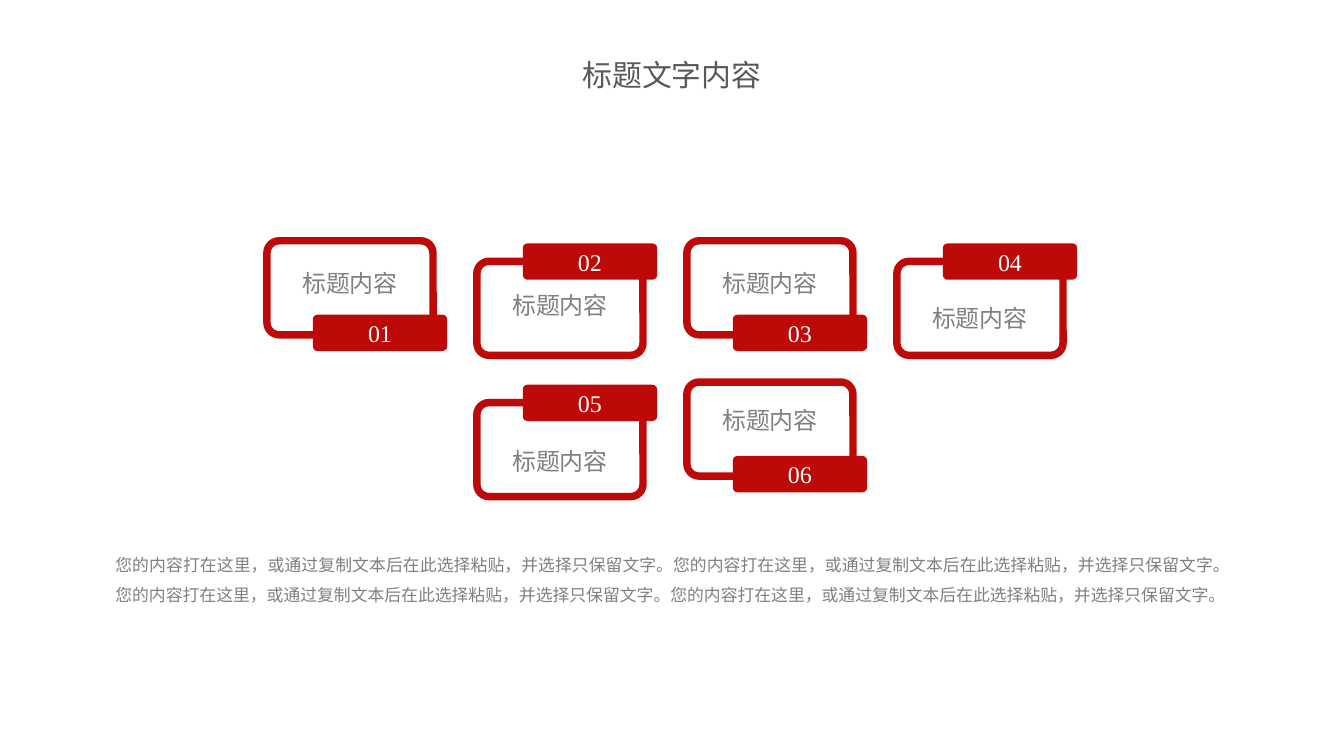
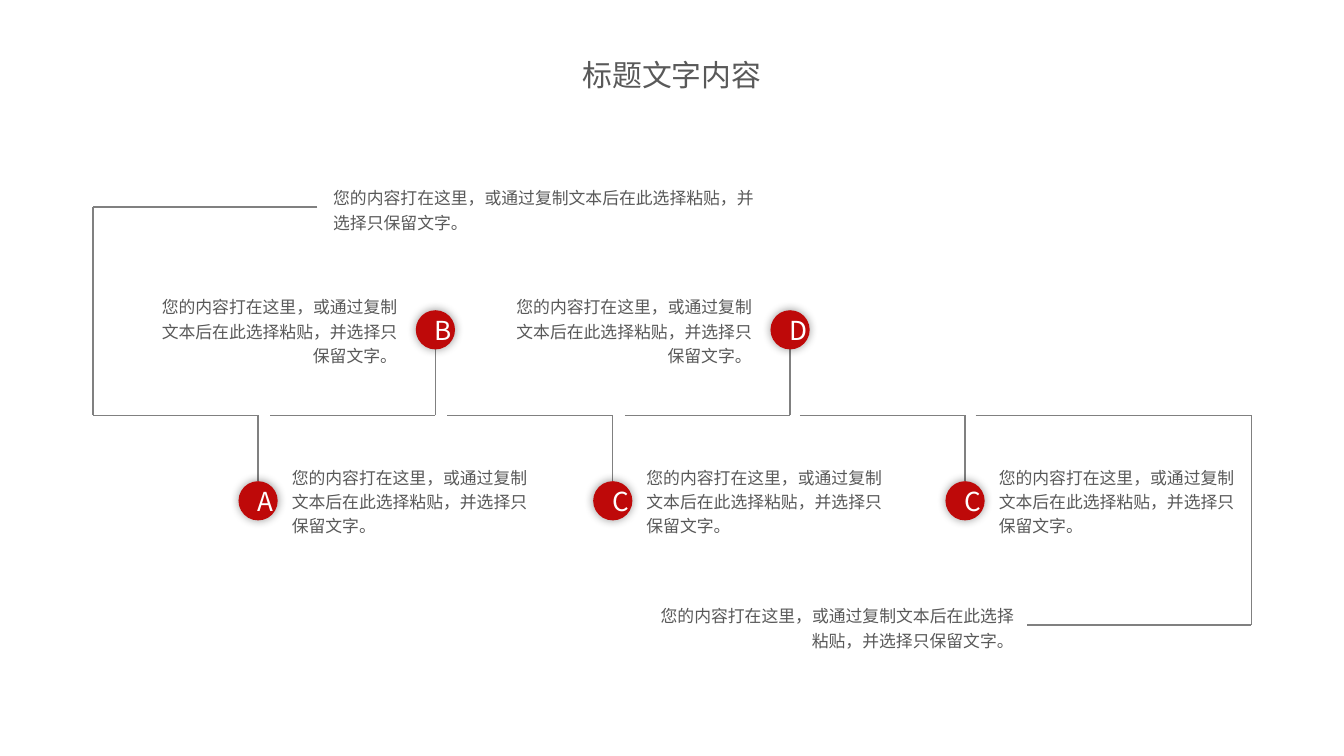
from itertools import pairwise
from typing import NamedTuple

from lxml.etree import SubElement
from pptx import Presentation
from pptx.dml.color import RGBColor
from pptx.enum.shapes import MSO_CONNECTOR, MSO_SHAPE as Shape
from pptx.enum.text import MSO_ANCHOR as Anchor, MSO_AUTO_SIZE as AutoSize, PP_ALIGN as Align
from pptx.oxml.ns import qn
from pptx.util import Pt

RED, DARK, GRAY, WHITE = "BE0909", "595959", "808080", "FFFFFF"
SANS, SERIF = "Noto Sans CJK SC", "Times New Roman"
TITLE = "标题文字内容"
LABEL = "标题内容"
SENTENCE = "您的内容打在这里，或通过复制文本后在此选择粘贴，并选择只保留文字。"


class Box(NamedTuple):
    left: float
    top: float
    width: float
    height: float

    def points(self):
        return [Pt(length) for length in self]


class TextStyle(NamedTuple):
    size: float
    color: str
    font: str = SANS
    align: Align = Align.LEFT
    line_spacing: float | None = None


class Card(NamedTuple):
    number: str
    column: int
    row: int
    tab_above: bool
    label_offset: float


class Node(NamedTuple):
    letter: str
    x: float
    above: bool


TITLE_STYLE = TextStyle(16, DARK, align=Align.CENTER)
SUMMARY_STYLE = TextStyle(9, GRAY, SERIF, Align.JUSTIFY, 1.5)
NUMBER_STYLE = TextStyle(12.8, WHITE, SERIF, Align.CENTER)
LABEL_STYLE = TextStyle(12.8, GRAY, SERIF, Align.CENTER)
LETTER_STYLE = TextStyle(14, WHITE, align=Align.CENTER)
NOTE_LEFT = TextStyle(9, DARK, line_spacing=1.2)
NOTE_RIGHT = NOTE_LEFT._replace(align=Align.RIGHT)

CARDS = [
    Card("01", 0, 0, False, 11.5),
    Card("03", 2, 0, False, 11.5),
    Card("06", 2, 1, False, 9.3),
    Card("02", 1, 0, True, 12),
    Card("04", 3, 0, True, 19),
    Card("05", 1, 1, True, 20),
]

NODES = [
    Node("A", 138.25, False),
    Node("B", 233.25, True),
    Node("C", 328.25, False),
    Node("D", 423.25, True),
    Node("C", 517, False),
]
SPINE_Y = 222.5
SEGMENT = 88.5
STEM = 35.3
CIRCLE = 21
NOTE_WIDTH = 141


def rgb(color: str) -> RGBColor:
    return RGBColor.from_string(color)


def write(shape, text: str, style: TextStyle) -> None:
    frame = shape.text_frame
    frame.text = text
    paragraph = frame.paragraphs[0]
    paragraph.alignment = style.align
    if style.line_spacing:
        paragraph.line_spacing = style.line_spacing
    font = paragraph.runs[0].font
    font.size = Pt(style.size)
    font.name = style.font
    font.color.rgb = rgb(style.color)
    SubElement(font._element, qn("a:ea"), typeface=SANS)


def place_text(shapes, box: Box, text: str, style: TextStyle) -> None:
    shape = shapes.add_textbox(*box.points())
    shape.text_frame.word_wrap = True
    shape.text_frame.auto_size = AutoSize.SHAPE_TO_FIT_TEXT
    write(shape, text, style)


def add_titled_slide(presentation):
    slide = presentation.slides.add_slide(presentation.slide_layouts[5])
    title = slide.shapes.title
    title.left, title.top, title.width, title.height = Box(257.8, 26.6, 204.4, 26.6).points()
    title.text_frame.vertical_anchor = Anchor.TOP
    title.text_frame.auto_size = AutoSize.SHAPE_TO_FIT_TEXT
    write(title, TITLE, TITLE_STYLE)
    return slide


def add_plain_shape(shapes, kind: Shape, box: Box):
    """Add a shape without shadow, fill or line."""
    shape = shapes.add_shape(kind, *box.points())
    shape.shadow.inherit = False
    shape.fill.background()
    shape.line.fill.background()
    return shape


def fill_red(shape) -> None:
    shape.fill.solid()
    shape.fill.fore_color.rgb = rgb(RED)


def add_rounded(shapes, box: Box):
    shape = add_plain_shape(shapes, Shape.ROUNDED_RECTANGLE, box)
    shape.adjustments[0] = 0.13
    return shape


def draw_card(slide, card: Card) -> None:
    left = 143 + 112.5 * card.column
    top = 129 + 75.7 * card.row + (11 if card.tab_above else 0)
    shapes = slide.shapes.add_group_shape().shapes

    frame = add_rounded(shapes, Box(left, top, 89, 50.4))
    frame.line.color.rgb = rgb(RED)
    frame.line.width = Pt(4)

    tab_top = top - 9.6 if card.tab_above else top + 39.6
    tab = add_rounded(shapes, Box(left + 24.6, tab_top, 72, 19.5))
    fill_red(tab)
    text_frame = tab.text_frame
    text_frame.margin_top = text_frame.margin_bottom = 0
    text_frame.vertical_anchor = Anchor.MIDDLE
    write(tab, card.number, NUMBER_STYLE)

    place_text(shapes, Box(left - 0.5, top + card.label_offset, 90, 23), LABEL, LABEL_STYLE)


def draw_path(slide, *corners: tuple[float, float]) -> None:
    """Join the corners in turn with thin gray lines."""
    for start, end in pairwise(corners):
        line = slide.shapes.add_connector(
            MSO_CONNECTOR.STRAIGHT, *[Pt(length) for length in start + end]
        )
        line.line.color.rgb = rgb(GRAY)
        line.line.width = Pt(0.75)
        SubElement(line._element.spPr, qn("a:effectLst"))


def add_soft_shadow(shape) -> None:
    effects = shape._element.spPr.find(qn("a:effectLst"))
    shadow = SubElement(
        effects, qn("a:outerShdw"), blurRad=str(Pt(5)), dist="0", dir="0", algn="ctr"
    )
    color = SubElement(shadow, qn("a:srgbClr"), val="000000")
    SubElement(color, qn("a:alpha"), val="40000")


def draw_node(slide, node: Node) -> None:
    stem_end = SPINE_Y - STEM if node.above else SPINE_Y + STEM
    draw_path(slide, (node.x - SEGMENT, SPINE_Y), (node.x, SPINE_Y), (node.x, stem_end))

    circle_top = stem_end - CIRCLE if node.above else stem_end
    box = Box(node.x - CIRCLE / 2, circle_top, CIRCLE, CIRCLE)
    circle = add_plain_shape(slide.shapes, Shape.OVAL, box)
    fill_red(circle)
    add_soft_shadow(circle)
    circle.text_frame.vertical_anchor = Anchor.MIDDLE
    write(circle, node.letter, LETTER_STYLE)

    if node.above:
        note = Box(node.x - 13.5 - NOTE_WIDTH, SPINE_Y - 69, NOTE_WIDTH, 46.5)
        place_text(slide.shapes, note, SENTENCE, NOTE_RIGHT)
    else:
        note = Box(node.x + 11, SPINE_Y + 22.3, NOTE_WIDTH, 46.5)
        place_text(slide.shapes, note, SENTENCE, NOTE_LEFT)


def build_cards_slide(presentation) -> None:
    slide = add_titled_slide(presentation)
    place_text(slide.shapes, Box(54.7, 288, 610.6, 40.3), SENTENCE * 4, SUMMARY_STYLE)
    for card in CARDS:
        draw_card(slide, card)


def build_timeline_slide(presentation) -> None:
    slide = add_titled_slide(presentation)
    start_x = NODES[0].x - SEGMENT
    end_x = 670.3
    draw_path(slide, (170, 111), (start_x, 111), (start_x, SPINE_Y))
    draw_path(slide, (522.7, SPINE_Y), (end_x, SPINE_Y), (end_x, 334.8), (550, 334.8))
    place_text(slide.shapes, Box(171.4, 95, 241.2, 32.5), SENTENCE, NOTE_LEFT)
    place_text(slide.shapes, Box(339, 319, 211, 33), SENTENCE, NOTE_RIGHT)
    for node in NODES:
        draw_node(slide, node)


def main() -> None:
    presentation = Presentation()
    presentation.slide_width = Pt(720)
    presentation.slide_height = Pt(405)
    build_cards_slide(presentation)
    build_timeline_slide(presentation)
    presentation.save("out.pptx")


if __name__ == "__main__":
    main()
